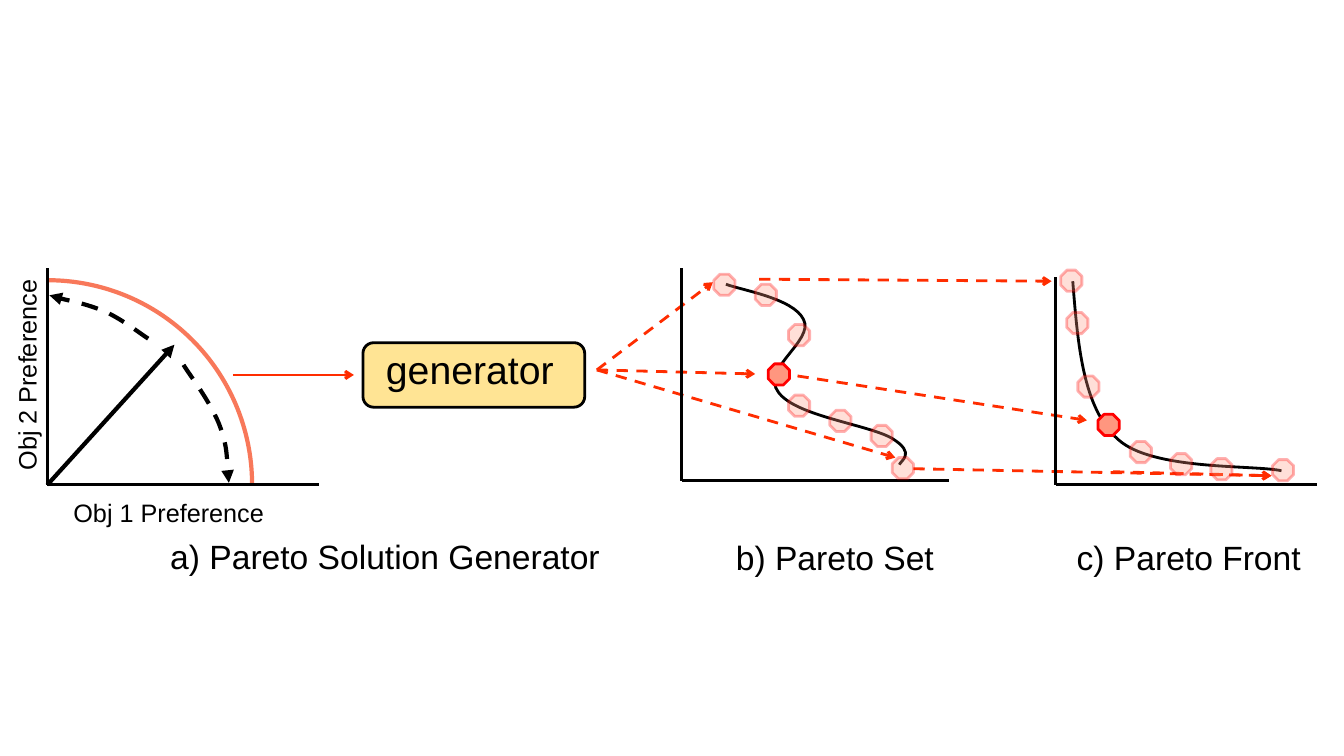
from lxml.etree import SubElement
from pptx import Presentation
from pptx.dml.color import RGBColor
from pptx.enum.dml import MSO_LINE
from pptx.enum.shapes import MSO_CONNECTOR, MSO_SHAPE
from pptx.oxml.ns import qn
from pptx.util import Inches, Pt

COLORS = {
    "black": "000000",
    "box": "FFC000",
    "arrow": "FF2D00",
    "point": "FF967F",
    "point_edge": "FF0000",
    "arc": "F8785A",
}
FONT = "Arial"
POINT_SIZE = 0.21


class Diagram:
    """Draws styled elements on one slide; all lengths are in inches."""

    def __init__(self, slide):
        self.shapes = slide.shapes

    def paint(self, fill, color, alpha=100):
        fill.solid()
        fill.fore_color.rgb = RGBColor.from_string(COLORS[color])
        if alpha < 100:
            clr = fill._xPr.find(".//" + qn("a:srgbClr"))
            SubElement(clr, qn("a:alpha"), val=str(alpha * 1000))

    def stroke(self, s, color, width=2, dash=False, tip=None, alpha=100):
        self.paint(s.line.fill, color, alpha)
        s.line.width = Pt(width)
        if dash:
            s.line.dash_style = MSO_LINE.DASH
        if tip:
            SubElement(s.element.spPr.find(qn("a:ln")), qn("a:tailEnd"), type=tip)

    def line(self, start, end, color="black", **style):
        s = self.shapes.add_connector(
            MSO_CONNECTOR.STRAIGHT, *(Inches(v) for v in (*start, *end)))
        self.stroke(s, color, **style)
        SubElement(s.element.spPr, qn("a:effectLst"))

    def arrow(self, start, end, dash=True):
        self.line(start, end, "arrow", dash=dash, tip="arrow")

    def axes(self, x, top, bottom, right):
        self.line((x, top), (x, bottom))
        self.line((x, bottom), (right, bottom))

    def shape(self, kind, x, y, w, h):
        s = self.shapes.add_shape(kind, *(Inches(v) for v in (x, y, w, h)))
        s.shadow.inherit = False
        return s

    def box(self, x, y, w, h):
        s = self.shape(MSO_SHAPE.ROUNDED_RECTANGLE, x, y, w, h)
        self.paint(s.fill, "box", 42)
        self.stroke(s, "black")

    def point(self, x, y, alpha=30):
        s = self.shape(MSO_SHAPE.OCTAGON, x, y, POINT_SIZE, POINT_SIZE)
        self.paint(s.fill, "point", alpha)
        self.stroke(s, "point_edge", alpha=alpha)

    def arc(self, x, y, size):
        s = self.shape(MSO_SHAPE.ARC, x, y, size, size)
        s.fill.background()
        self.stroke(s, "arc", 3)

    def curve(self, points, **style):
        """Bezier curve: a start, then two controls and an end per segment."""
        start, *rest = [(Inches(x), Inches(y)) for x, y in points]
        builder = self.shapes.build_freeform(*start)
        builder.add_line_segments(rest, close=False)
        s = builder.convert_to_shape()
        path = s.element.spPr.find(".//" + qn("a:path"))
        corners = path.findall(qn("a:lnTo"))
        for i in range(0, len(corners), 3):
            segment = SubElement(path, qn("a:cubicBezTo"))
            for corner in corners[i:i + 3]:
                segment.append(corner[0])
                path.remove(corner)
        s.shadow.inherit = False
        s.fill.background()
        self.stroke(s, "black", **style)

    def text(self, text, x, y, w, h, size, rotation=0):
        s = self.shapes.add_textbox(*(Inches(v) for v in (x, y, w, h)))
        s.rotation = rotation
        tf = s.text_frame
        tf.word_wrap = True
        p = tf.paragraphs[0]
        p.text = text
        p.font.name = FONT
        p.font.size = Pt(size)
        p.font.color.rgb = RGBColor.from_string(COLORS["black"])


def draw_generator(d):
    d.box(3.6, 3.4, 2.2, 0.64)
    d.text("generator", 3.73, 3.38, 1.96, 0.57, 28)
    d.arrow((2.31, 3.72), (3.51, 3.72), dash=False)
    for target in [(7.07, 2.8), (7.49, 3.71), (8.88, 4.54)]:
        d.arrow((5.92, 3.67), target)


def draw_mapping(d):
    """Arrows from the Pareto set to the Pareto front."""
    d.arrow((7.53, 2.77), (10.43, 2.79))
    d.arrow((7.91, 3.73), (10.78, 4.17))
    for start in [(9.06, 4.65), (11.04, 4.68)]:
        d.arrow(start, (12.61, 4.72))


def draw_captions(d):
    for text, x, y, w in [
        ("a) Pareto Solution Generator", 1.59, 5.27, 4.83),
        ("b) Pareto Set", 7.2, 5.28, 2.38),
        ("c) Pareto Front", 10.58, 5.28, 2.58),
    ]:
        d.text(text, x, y, w, 0.5, 24)


def draw_pareto_set(d):
    d.axes(6.76, 2.66, 4.77, 9.41)
    d.curve([(7.2, 2.82), (7.36, 2.88), (7.87, 2.96), (7.97, 3.17),
             (8.08, 3.38), (7.54, 3.66), (7.72, 3.89),
             (7.89, 4.13), (8.61, 4.21), (8.85, 4.35),
             (9.09, 4.5), (8.93, 4.57), (8.92, 4.61)])
    d.point(7.62, 3.61, alpha=100)
    for x, y in [(7.08, 2.72), (7.49, 2.82), (7.82, 3.22), (7.82, 3.92),
                 (8.23, 4.07), (8.64, 4.22), (8.85, 4.54)]:
        d.point(x, y)


def draw_pareto_front(d):
    d.axes(10.47, 2.75, 4.81, 13.06)
    d.curve([(10.64, 2.79), (10.69, 3.42), (10.74, 4.05), (11.09, 4.36),
             (11.43, 4.67), (12.44, 4.61), (12.71, 4.67)])
    d.point(10.89, 4.11, alpha=100)
    for x, y in [(10.52, 2.68), (10.58, 3.1), (10.69, 3.73), (11.21, 4.38),
                 (11.61, 4.5), (12.01, 4.55), (12.62, 4.56)]:
        d.point(x, y)


def draw_preferences(d):
    d.arc(-1.55, 2.78, 4.05)
    d.axes(0.47, 2.66, 4.81, 3.16)
    d.text("Obj 1 Preference", 0.63, 4.88, 2.72, 0.4, 18)
    d.text("Obj 2 Preference", -1.3, 3, 3.13, 0.4, 18, rotation=270)
    d.line((0.47, 4.81), (1.73, 3.42), width=3, tip="triangle")
    for sweep in [
        [(1.47, 3.36), (1.39, 3.31), (1.23, 3.18), (1.04, 3.09),
         (0.84, 3.01), (0.57, 2.96), (0.49, 2.93)],
        [(1.82, 3.62), (1.88, 3.72), (2.07, 3.96), (2.17, 4.2),
         (2.26, 4.43), (2.25, 4.67), (2.27, 4.79)],
    ]:
        d.curve(sweep, width=3, dash=True, tip="triangle")


def main():
    prs = Presentation()
    prs.slide_width, prs.slide_height = Inches(13.33), Inches(7.5)
    d = Diagram(prs.slides.add_slide(prs.slide_layouts[6]))
    draw_generator(d)
    draw_mapping(d)
    draw_captions(d)
    draw_pareto_set(d)
    draw_pareto_front(d)
    draw_preferences(d)
    prs.save("out.pptx")


if __name__ == "__main__":
    main()
